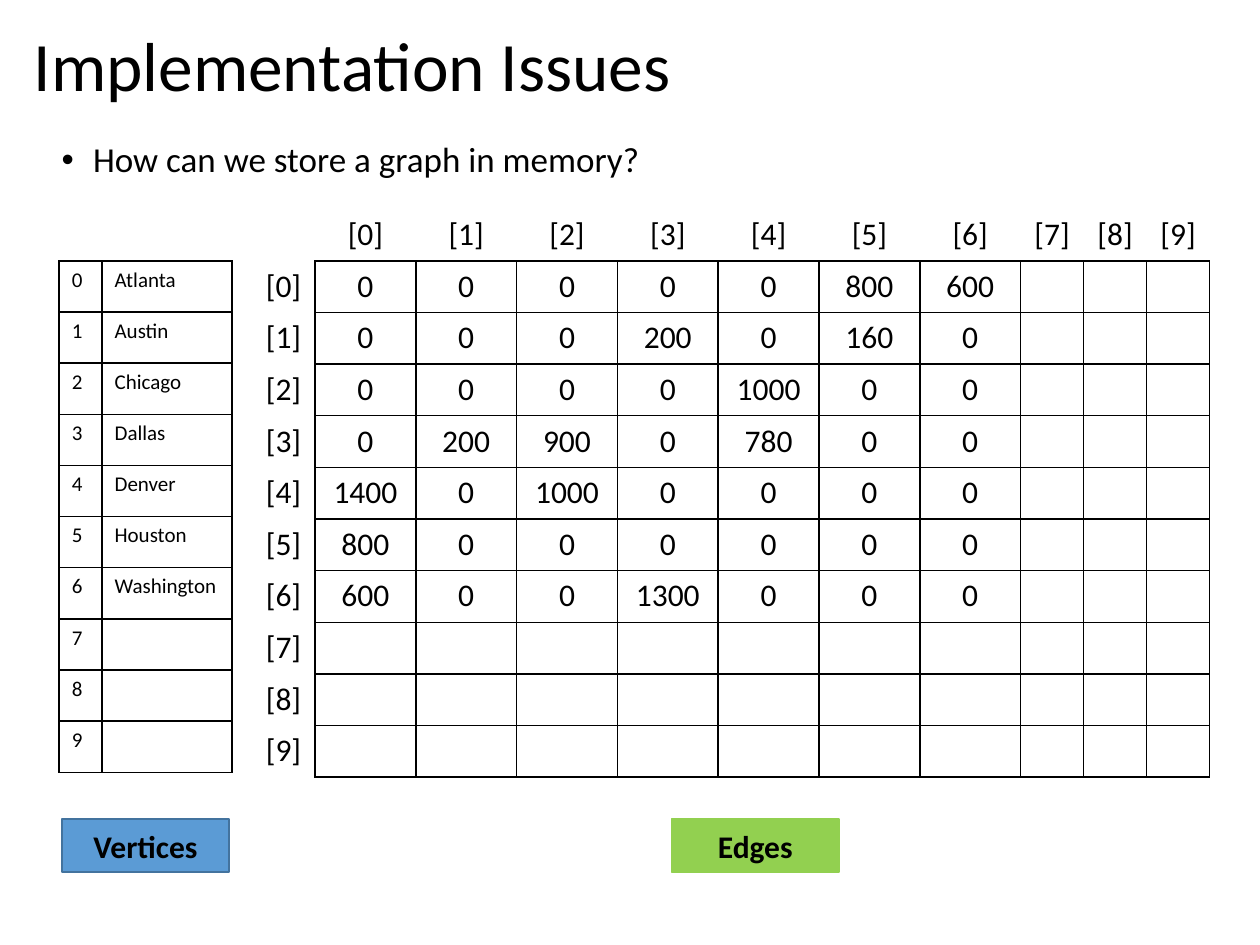
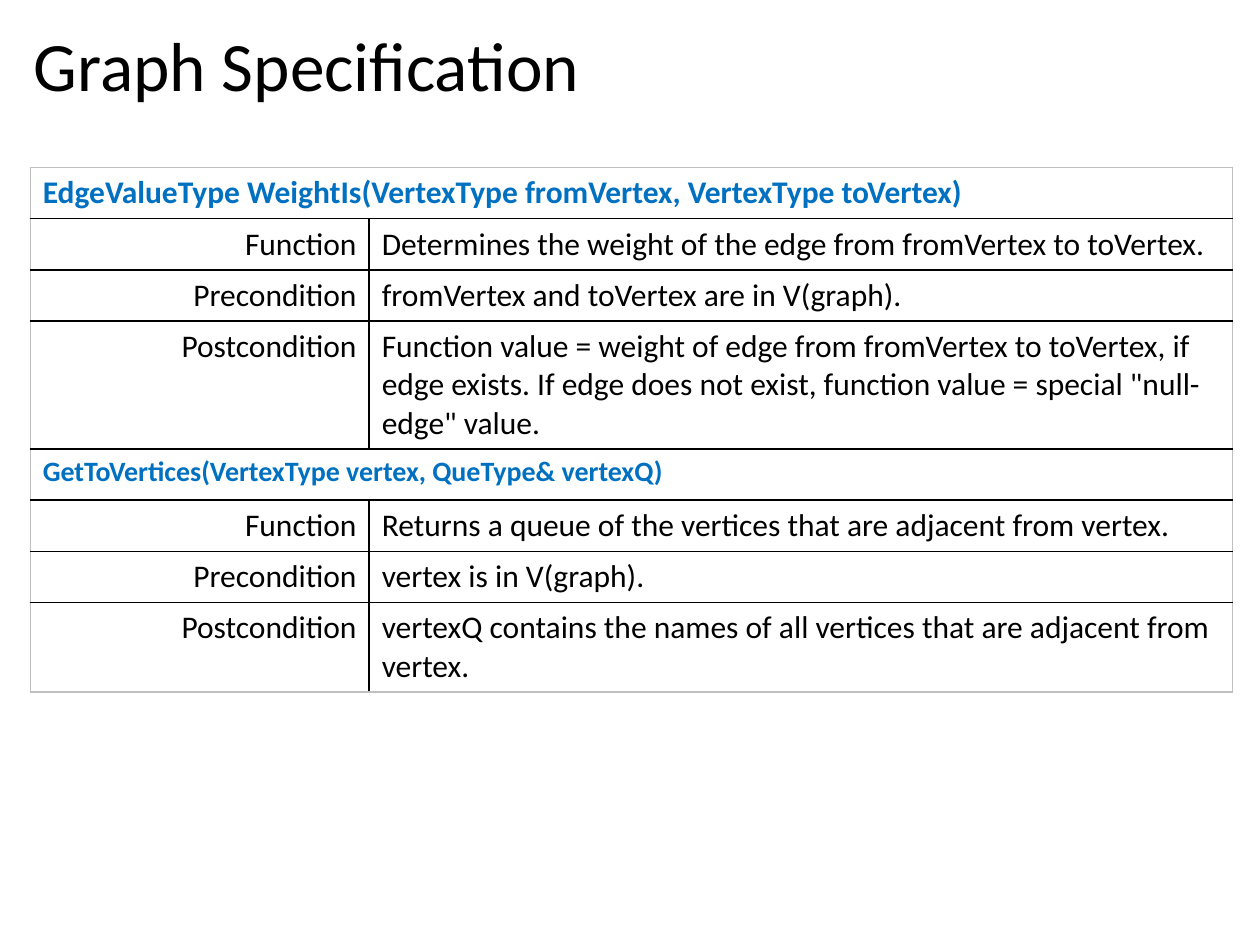
from lxml import etree
from pptx import Presentation
from pptx import util as u
from pptx.dml.color import RGBColor
from pptx.enum import shapes, text
from pptx.oxml.ns import qn

WIDTH, HEIGHT = 10, 7.5
FONT = "Calibri"
BLACK, BLUE, GREY = "000000", "0070C0", "BFBFBF"
ROW = 0.406
PLAIN_STYLE = "{2D5ABB26-0587-4C30-8999-92F81FD0307C}"
LEFT, CENTER, RIGHT = text.PP_ALIGN.LEFT, text.PP_ALIGN.CENTER, text.PP_ALIGN.RIGHT

CITIES = ["Atlanta", "Austin", "Chicago", "Dallas", "Denver", "Houston", "Washington"]
CAPACITY = 10
WEIGHTS = [
    [0, 0, 0, 0, 0, 800, 600],
    [0, 0, 0, 200, 0, 160, 0],
    [0, 0, 0, 0, 1000, 0, 0],
    [0, 200, 900, 0, 780, 0, 0],
    [1400, 0, 1000, 0, 0, 0, 0],
    [800, 0, 0, 0, 0, 0, 0],
    [600, 0, 0, 1300, 0, 0, 0],
]
OPERATIONS = [
    ("EdgeValueType WeightIs(VertexType fromVertex, VertexType toVertex)", 18, [
        "Determines the weight of the edge from fromVertex to toVertex.",
        "fromVertex and toVertex are in V(graph).",
        "Function value = weight of edge from fromVertex to toVertex, if edge exists. "
        'If edge does not exist, function value = special "null-edge" value.']),
    ("GetToVertices(VertexType vertex, QueType& vertexQ)", 16, [
        "Returns a queue of the vertices that are adjacent from vertex.",
        "vertex is in V(graph).",
        "vertexQ contains the names of all vertices that are adjacent from vertex."]),
]
CLAUSES = ["Function", "Precondition", "Postcondition"]


def color(hex_code):
    """Turn a hex string into a colour."""
    return RGBColor.from_string(hex_code)


def box(left, top, width, height):
    """Turn inches into a position and size."""
    return [u.Inches(n) for n in (left, top, width, height)]


def write(frame, words, size, ink=BLACK, bold=False, align=LEFT):
    """Write one run into the first paragraph of a frame and return the paragraph."""
    paragraph = frame.paragraphs[0]
    paragraph.alignment = align
    run = paragraph.add_run()
    run.text = words
    run.font.name, run.font.size, run.font.bold = FONT, u.Pt(size), bold
    run.font.color.rgb = color(ink)
    return paragraph


def add_text(slide, place, words, size, anchor):
    """Add a wrapping text box with tight lines."""
    frame = slide.shapes.add_textbox(*box(*place)).text_frame
    frame.word_wrap = True
    frame.vertical_anchor = anchor
    paragraph = write(frame, words, size)
    paragraph.line_spacing = 0.9
    return paragraph


def add_title(slide, words):
    """Add the slide title."""
    add_text(slide, (0.17, 0.18, 9.62, 0.74), words, 39.6, text.MSO_ANCHOR.MIDDLE)


def add_bullet(slide, words):
    """Add the bulleted question under the title."""
    paragraph = add_text(slide, (0.39, 1.08, 9.4, 1.94), words, 20, text.MSO_ANCHOR.TOP)
    props = paragraph._p.get_or_add_pPr()
    props.set("marL", str(u.Inches(0.25)))
    props.set("indent", str(-u.Inches(0.25)))
    etree.SubElement(props, qn("a:buFont")).set("typeface", "Arial")
    etree.SubElement(props, qn("a:buChar")).set("char", "•")


def add_label(slide, left, words, fill, line):
    """Add a coloured caption below a table."""
    label = slide.shapes.add_shape(shapes.MSO_SHAPE.RECTANGLE, *box(left, 6.5, 1.33, 0.42))
    label.shadow.inherit = False
    label.fill.solid()
    label.fill.fore_color.rgb = color(fill)
    label.line.color.rgb = color(line)
    label.line.width = u.Pt(1)
    label.text_frame.vertical_anchor = text.MSO_ANCHOR.MIDDLE
    write(label.text_frame, words, 18, bold=True, align=CENTER)


def add_grid(slide, left, top, widths, rows, row_height=ROW):
    """Add an unstyled table with even rows."""
    place = box(left, top, sum(widths), rows * row_height)
    table = slide.shapes.add_table(rows, len(widths), *place).table
    table.first_row = table.horz_banding = False
    table._tbl.tblPr.find(qn("a:tableStyleId")).text = PLAIN_STYLE
    for column, width in zip(table.columns, widths):
        column.width = u.Inches(width)
    return table


def rule_cell(cell, **sides):
    """Draw the named sides (L, R, T, B) of a cell in the given colours."""
    props = cell._tc.get_or_add_tcPr()
    for side in "LRTB":
        if side in sides:
            line = etree.SubElement(props, qn("a:ln" + side), w=str(u.Pt(1)))
            fill = etree.SubElement(line, qn("a:solidFill"))
            etree.SubElement(fill, qn("a:srgbClr"), val=sides[side])
    cell.fill.background()


def rule_table(table, outer=BLACK, headed=False):
    """Rule a table, leaving its header row and column open when it is headed."""
    first, last_row, last_col = int(headed), len(table.rows) - 1, len(table.columns) - 1
    for r in range(last_row + 1):
        for c in range(last_col + 1):
            sides = {}
            if r >= first and c >= first:
                sides = {"L": BLACK if c else outer, "T": BLACK if r else outer,
                         "R": BLACK if c < last_col else outer,
                         "B": BLACK if r < last_row else outer}
            elif r >= first:
                sides = {"R": BLACK}
            elif c >= first:
                sides = {"B": BLACK}
            rule_cell(table.cell(r, c), **sides)


def add_vertices(slide):
    """List the cities by index."""
    table = add_grid(slide, 0.47, 2.07, [0.34, 1.03], CAPACITY)
    for i in range(CAPACITY):
        write(table.cell(i, 0).text_frame, str(i), 12)
    for i, city in enumerate(CITIES):
        write(table.cell(i, 1).text_frame, city, 12)
    rule_table(table)


def add_edges(slide):
    """Show the adjacency matrix with its indexes."""
    used = len(CITIES)
    widths = [0.5] + [0.8] * used + [0.5] * (CAPACITY - used)
    table = add_grid(slide, 2, 1.66, widths, CAPACITY + 1, 0.41)
    for i in range(CAPACITY):
        for cell in (table.cell(0, i + 1), table.cell(i + 1, 0)):
            write(cell.text_frame, f"[{i}]", 18, align=CENTER)
    for r, weights in enumerate(WEIGHTS, 1):
        for c, weight in enumerate(weights, 1):
            write(table.cell(r, c).text_frame, str(weight), 18, align=CENTER)
    rule_table(table, headed=True)


def add_specification(slide):
    """Describe each operation by its clauses."""
    block = len(CLAUSES) + 1
    table = add_grid(slide, 0.24, 1.33, [2.69, 6.85], block * len(OPERATIONS))
    rule_table(table, outer=GREY)
    for i, (signature, size, meanings) in enumerate(OPERATIONS):
        top = i * block
        heading = table.cell(top, 0)
        heading.merge(table.cell(top, 1))
        write(heading.text_frame, signature, size, BLUE, bold=True)
        for r, (clause, meaning) in enumerate(zip(CLAUSES, meanings), top + 1):
            write(table.cell(r, 0).text_frame, clause, 18, align=RIGHT)
            write(table.cell(r, 1).text_frame, meaning, 18)
            lines = {"Postcondition": 3 - i}.get(clause, 1)
            table.rows[r].height = u.Inches(ROW + 0.305 * (lines - 1))
    for top in range(0, len(table.rows), block):
        for c, hidden in ((0, "a:lnR"), (1, "a:lnL")):
            props = table.cell(top, c)._tc.tcPr
            props.find(qn(hidden)).find(qn("a:solidFill")).find(qn("a:srgbClr")).set("val", GREY)


def main():
    """Build both slides and save them."""
    deck = Presentation()
    deck.slide_width, deck.slide_height = u.Inches(WIDTH), u.Inches(HEIGHT)
    blank = deck.slide_layouts[6]

    storage = deck.slides.add_slide(blank)
    add_bullet(storage, "How can we store a graph in memory?")
    add_vertices(storage)
    add_edges(storage)
    add_label(storage, 0.49, "Vertices", "5B9BD5", "43739E")
    add_label(storage, 5.33, "Edges", "92D050", "92D050")
    add_title(storage, "Implementation Issues")

    specification = deck.slides.add_slide(blank)
    add_specification(specification)
    add_title(specification, "Graph Specification")
    deck.save("out.pptx")


if __name__ == "__main__":
    main()
